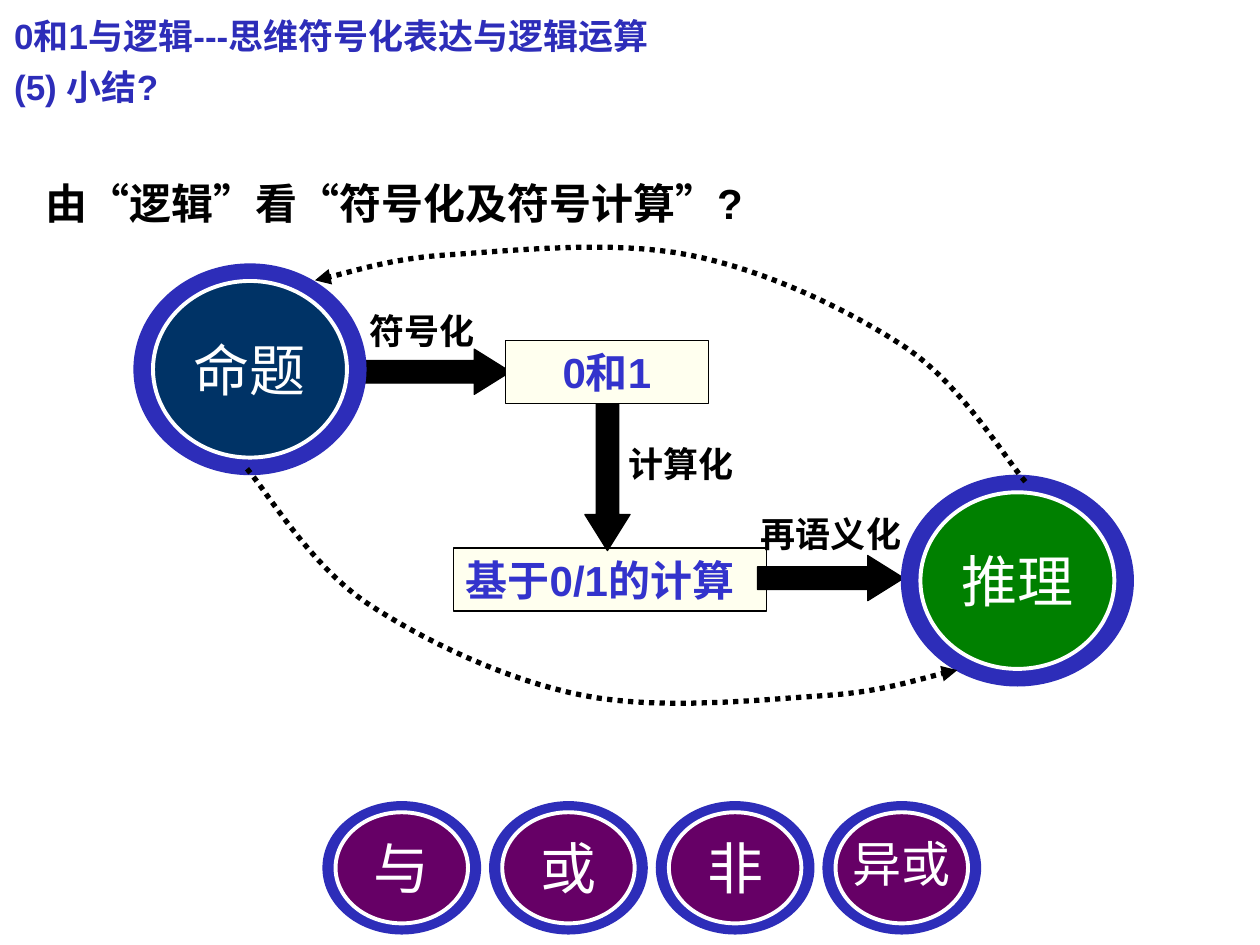
from lxml import etree
from pptx import Presentation
from pptx.dml.color import RGBColor
from pptx.enum.dml import MSO_LINE
from pptx.enum.shapes import MSO_SHAPE
from pptx.enum.text import MSO_ANCHOR, MSO_AUTO_SIZE, PP_ALIGN
from pptx.oxml.ns import qn
from pptx.util import Cm, Pt

LEFT, CENTER = PP_ALIGN.LEFT, PP_ALIGN.CENTER
RECT, OVAL = MSO_SHAPE.RECTANGLE, MSO_SHAPE.OVAL
RING, ARROW = MSO_SHAPE.DONUT, MSO_SHAPE.RIGHT_ARROW
DOTTED = MSO_LINE.ROUND_DOT
GROW, TOP = MSO_AUTO_SIZE.SHAPE_TO_FIT_TEXT, MSO_ANCHOR.TOP

BLACK = RGBColor(0x00, 0x00, 0x00)
WHITE = RGBColor(0xFF, 0xFF, 0xFF)
INDIGO = RGBColor(0x2D, 0x2D, 0xB9)
BLUE = RGBColor(0x33, 0x33, 0xCC)
CREAM = RGBColor(0xFF, 0xFF, 0xEF)
NAVY = RGBColor(0x00, 0x33, 0x66)
GREEN = RGBColor(0x00, 0x80, 0x00)
PURPLE = RGBColor(0x66, 0x00, 0x66)
LATIN, HAN = "Arial", "Noto Sans CJK SC"

# Content; positions and sizes in cm
TITLE = ["0和1与逻辑---思维符号化表达与逻辑运算", "(5) 小结?"]
QUESTION = ["由", "“", "逻辑", "”", "看", "“", "符号化及符号计算", "”", "?"]

# Flow steps from back to front: arrows (left, top, rotation), boxes and labels
SYMBOLIZE, CALCULATE, INTERPRET = (7.34, 7.04, 0), (10.77, 9.17, 90), (15.27, 11.2, 0)
BOXES = [("0和1", (10.19, 6.86, 4.09, 1.27), CENTER),
         ("基于0/1的计算", (9.14, 11.05, 6.32, 1.27), LEFT)]
STEP_LABELS = [("符号化", (7.19, 6.12, 2.62, 1.12)),
               ("计算化", (12.42, 8.79, 2.62, 1.12)),
               ("再语义化", (15.09, 10.21, 3.33, 1.12))]

CONCEPTS = [("命题", 2.69, 5.31, NAVY), ("推理", 18.16, 9.57, GREEN)]
CONCEPT_RING, CONCEPT_DISC = (4.7, 4.27), (3.91, 3.56)

OPERATORS = [("与", 32), ("或", 32), ("非", 32), ("异或", 28)]
OPERATOR_RING, OPERATOR_DISC = (3.2, 2.69), (2.67, 2.24)
OPERATOR_LEFT, OPERATOR_TOP, OPERATOR_PITCH = 6.5, 16.15, 3.36

# Bezier points of the lower curve; the upper one is its half turn
LOWER_CURVE = [(4.98, 9.45), (5.38, 9.91), (6.25, 11.38), (7.37, 12.14),
               (8.51, 12.9), (10.21, 13.72), (11.76, 14.02),
               (13.31, 14.33), (15.39, 14.1), (16.66, 14.02),
               (17.91, 13.94), (18.75, 13.61), (19.3, 13.51)]
UPPER_CURVE = [(25.65 - x, 19.16 - y) for x, y in LOWER_CURVE]
CURVE_STEPS = 16


def lengths(values):
    return [Cm(value) for value in values]


def set_face(font, face):
    font.name = face
    east_asian = etree.SubElement(font._rPr, qn("a:ea"))
    east_asian.set("typeface", HAN)


def format_paragraph(paragraph, size, color, bold=True, align=LEFT, face=LATIN):
    paragraph.alignment = align
    font = paragraph.font
    font.size, font.bold = Pt(size), bold
    font.color.rgb = color
    set_face(font, face)


def add_label(shapes, text, place, size, color, **style):
    label = shapes.add_textbox(*lengths(place))
    frame = label.text_frame
    frame.word_wrap = style.get("align") == CENTER
    frame.auto_size = GROW
    frame.text = text
    format_paragraph(frame.paragraphs[0], size, color, **style)
    return frame.paragraphs[0]


def add_solid(shapes, kind, place, fill, line=None, width=0.75):
    solid = shapes.add_shape(kind, *lengths(place))
    solid.shadow.inherit = False
    solid.fill.solid()
    solid.fill.fore_color.rgb = fill
    if line is None:
        solid.line.fill.background()
    else:
        solid.line.color.rgb = line
        solid.line.width = Pt(width)
    return solid


def add_block_arrow(shapes, left, top, rotation):
    arrow = add_solid(shapes, ARROW, (left, top, 2.95, 0.91), BLACK, BLACK)
    arrow.adjustments[0], arrow.adjustments[1] = 0.5, 0.8
    arrow.rotation = rotation


def add_badge(shapes, text, left, top, ring_size, disc_size, color, size=32):
    badge = shapes.add_group_shape().shapes
    ring = add_solid(badge, RING, (left, top, *ring_size), INDIGO)
    ring.adjustments[0] = 0.09
    inset_x, inset_y = [(outer - inner) / 2 for outer, inner in zip(ring_size, disc_size)]
    disc_left = left + inset_x
    add_solid(badge, OVAL, (disc_left, top + inset_y, *disc_size), color, WHITE, 2.25)
    label_top = top + (ring_size[1] - 1.63) / 2
    add_label(badge, text, (disc_left, label_top, disc_size[0], size * 0.05), size,
              WHITE, bold=False, align=CENTER, face=HAN)


def bezier(points):
    for start in range(0, len(points) - 1, 3):
        p0, p1, p2, p3 = points[start:start + 4]
        for step in range(1, CURVE_STEPS + 1):
            t = step / CURVE_STEPS
            u = 1 - t
            yield tuple(Cm(u**3 * a + 3 * u * u * t * b + 3 * u * t * t * c + t**3 * d)
                        for a, b, c, d in zip(p0, p1, p2, p3))


def add_dotted_curve(shapes, points):
    builder = shapes.build_freeform(*lengths(points[0]))
    builder.add_line_segments(list(bezier(points)), close=False)
    curve = builder.convert_to_shape()
    curve.shadow.inherit = False
    curve.fill.background()
    curve.line.color.rgb = BLACK
    curve.line.width = Pt(3)
    curve.line.dash_style = DOTTED
    etree.SubElement(curve.line._get_or_add_ln(), qn("a:tailEnd")).set("type", "triangle")


def main():
    deck = Presentation()
    deck.slide_width, deck.slide_height = Cm(25.4), Cm(19.05)
    slide = deck.slides.add_slide(deck.slide_layouts[5])
    shapes = slide.shapes

    # Title
    title = shapes.title
    title.left, title.top, title.width, title.height = lengths((0.03, 0, 14.15, 2.29))
    frame = title.text_frame
    frame.word_wrap, frame.auto_size, frame.vertical_anchor = False, GROW, TOP
    frame.text = "\n".join(TITLE)
    for paragraph in frame.paragraphs:
        paragraph.line_spacing = 1.2
        format_paragraph(paragraph, 20, INDIGO)

    # Question, with its quotation marks in the Han font
    question = add_label(shapes, "", (0.66, 3.45, 14.76, 1.27), 24, BLACK)
    for part in QUESTION:
        run = question.add_run()
        run.text = part
        set_face(run.font, HAN if part in "“”" else LATIN)

    # Flow from symbols to calculation
    add_block_arrow(shapes, *SYMBOLIZE)
    for text, place, align in BOXES:
        box = add_solid(shapes, RECT, place, CREAM, BLACK)
        box.text_frame.text = text
        box.text_frame.word_wrap = align == CENTER
        format_paragraph(box.text_frame.paragraphs[0], 24, BLUE, align=align)
    for arrow in (INTERPRET, CALCULATE):
        add_block_arrow(shapes, *arrow)
    for text, place in STEP_LABELS:
        add_label(shapes, text, place, 20, BLACK)

    # Concepts and the curves between them
    for text, left, top, color in CONCEPTS:
        add_badge(shapes, text, left, top, CONCEPT_RING, CONCEPT_DISC, color)
    for points in (LOWER_CURVE, UPPER_CURVE):
        add_dotted_curve(shapes, points)

    # Row of logical operators
    for index, (text, size) in enumerate(OPERATORS):
        add_badge(shapes, text, OPERATOR_LEFT + index * OPERATOR_PITCH, OPERATOR_TOP,
                  OPERATOR_RING, OPERATOR_DISC, PURPLE, size)

    deck.save("out.pptx")


if __name__ == "__main__":
    main()
